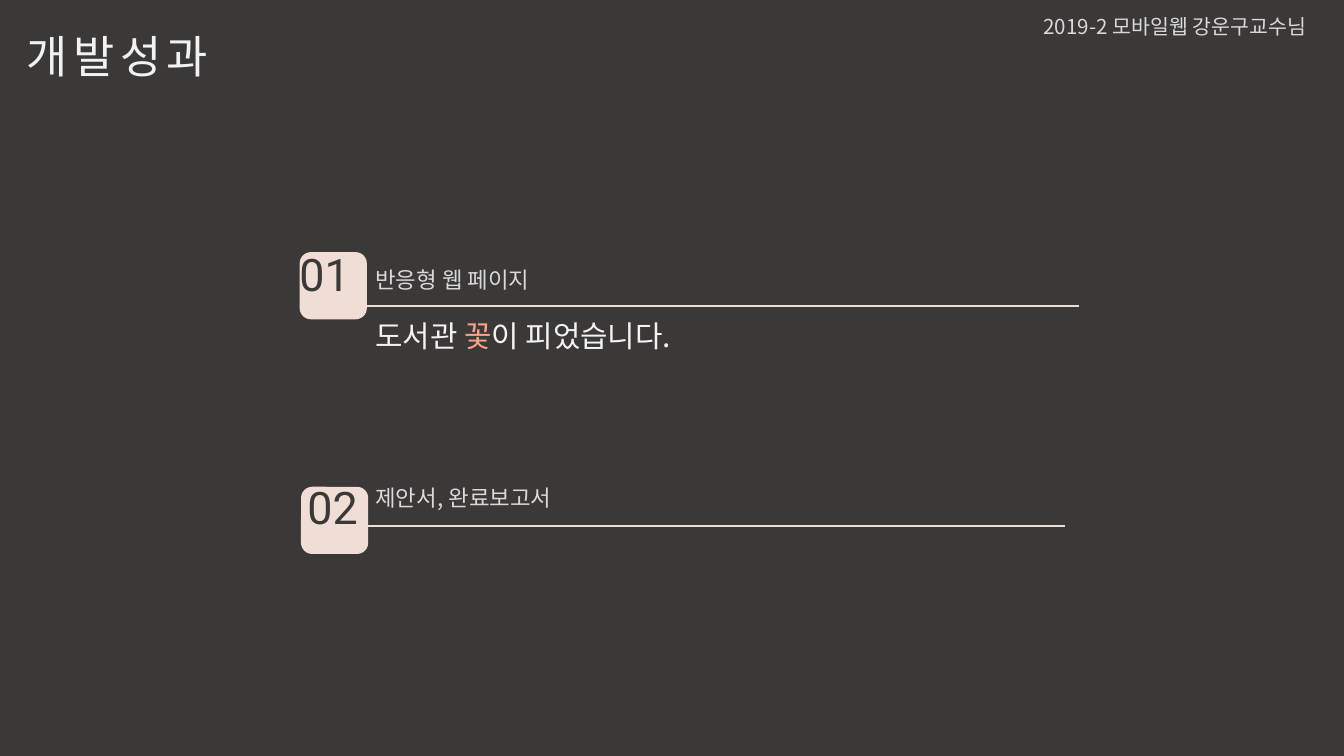
from dataclasses import dataclass

from pptx import Presentation
from pptx import util as u
from pptx.dml import color
from pptx.enum import shapes, text
from pptx.oxml import ns
from lxml import etree

SLIDE_W = u.Inches(10)
SLIDE_H = SLIDE_W * 9 // 16
KOREAN, LATIN = "Noto Sans CJK KR", "Roboto"
DARK, PINK, CORAL, GREY, PALE = "3B3838", "F0DDD6", "FFA088", "D9D9D9", "F2F2F2"
BADGE_W, BADGE_H = 5, 8.89
LABEL_LEFT = 26.95
RULE_LEFT = 27.2


@dataclass(frozen=True)
class Box:
    left: float
    top: float
    width: float
    height: float

    def emu(self) -> tuple[int, int, int, int]:
        return (across(self.left), down(self.top),
                across(self.width), down(self.height))


@dataclass(frozen=True)
class Span:
    words: str
    hue: str


@dataclass(frozen=True)
class Style:
    size: float
    face: str = KOREAN
    spacing: float = 0
    align: text.PP_ALIGN = text.PP_ALIGN.LEFT
    wrap: bool = True


@dataclass(frozen=True)
class Achievement:
    number: str
    badge_at: tuple[float, float]
    number_at: tuple[float, float]
    label: str
    label_top: float
    rule_top: float
    rule_right: float


TITLE = Style(24, spacing=3, wrap=False)
HEADER = Style(11, wrap=False)
NUMBER = Style(24, LATIN, align=text.PP_ALIGN.CENTER)
LABEL = Style(12)
DETAIL = Style(16)

ACHIEVEMENTS = [
    Achievement("02", (22.4, 64.4), (20.3, 62.58), "제안서, 완료보고서",
                63.15, 69.55, 79.25),
    Achievement("01", (22.3, 33.36), (19.7, 31.82), "반응형 웹 페이지",
                34.31, 40.5, 80.3),
]


def across(percent: float) -> int:
    return round(SLIDE_W * percent / 100)


def down(percent: float) -> int:
    return round(SLIDE_H * percent / 100)


def rgb(value: str) -> color.RGBColor:
    return color.RGBColor.from_string(value)


def add_text(s, box: Box, style: Style, *spans: Span) -> None:
    tf = s.shapes.add_textbox(*box.emu()).text_frame
    tf.word_wrap = style.wrap
    tf.auto_size = text.MSO_AUTO_SIZE.SHAPE_TO_FIT_TEXT
    p = tf.paragraphs[0]
    p.alignment = style.align
    p.font.size = u.Pt(style.size)
    p.font.name = style.face
    props = p.font._element
    etree.SubElement(props, ns.qn("a:ea"), typeface=style.face)
    if style.spacing:
        props.set("spc", str(round(style.spacing * 100)))
    if len(spans) == 1:
        p.font.color.rgb = rgb(spans[0].hue)
    for span in spans:
        r = p.add_run()
        r.text = span.words
        if len(spans) > 1:
            r.font.color.rgb = rgb(span.hue)


def add_badge(s, left: float, top: float) -> None:
    box = Box(left, top, BADGE_W, BADGE_H)
    sp = s.shapes.add_shape(shapes.MSO_SHAPE.ROUNDED_RECTANGLE, *box.emu())
    sp.shadow.inherit = False
    sp.fill.solid()
    sp.fill.fore_color.rgb = rgb(PINK)
    sp.line.fill.background()


def add_rule(s, left: float, right: float, top: float) -> None:
    rule = s.shapes.add_connector(shapes.MSO_CONNECTOR.STRAIGHT, across(left),
                                  down(top), across(right), down(top))
    rule.line.color.rgb = rgb(PINK)
    rule.line.width = u.Pt(1)
    etree.SubElement(rule._element.spPr, ns.qn("a:effectLst"))


def add_achievement(s, item: Achievement) -> None:
    add_badge(s, *item.badge_at)
    add_text(s, Box(*item.number_at, 8.9, 8.89), NUMBER, Span(item.number, DARK))
    add_text(s, Box(LABEL_LEFT, item.label_top, 52.6, 5.33), LABEL,
             Span(item.label, GREY))
    add_rule(s, RULE_LEFT, item.rule_right, item.rule_top)


def main() -> None:
    prs = Presentation()
    prs.slide_width, prs.slide_height = SLIDE_W, SLIDE_H
    s = prs.slides.add_slide(prs.slide_layouts[6])
    s.background.fill.solid()
    s.background.fill.fore_color.rgb = rgb(DARK)
    add_text(s, Box(76.65, 0.95, 23.4, 5.16), HEADER,
             Span("2019-2 모바일웹 강운구교수님", GREY))
    add_text(s, Box(1, 2.9, 17.2, 8.89), TITLE, Span("개발성과", PALE))
    for item in ACHIEVEMENTS:
        add_achievement(s, item)
    add_text(s, Box(LABEL_LEFT, 41.1, 53.2, 6.58), DETAIL,
             Span("도서관 ", PALE), Span("꽃", CORAL), Span("이 피었습니다.", PALE))
    prs.save("out.pptx")


if __name__ == "__main__":
    main()
